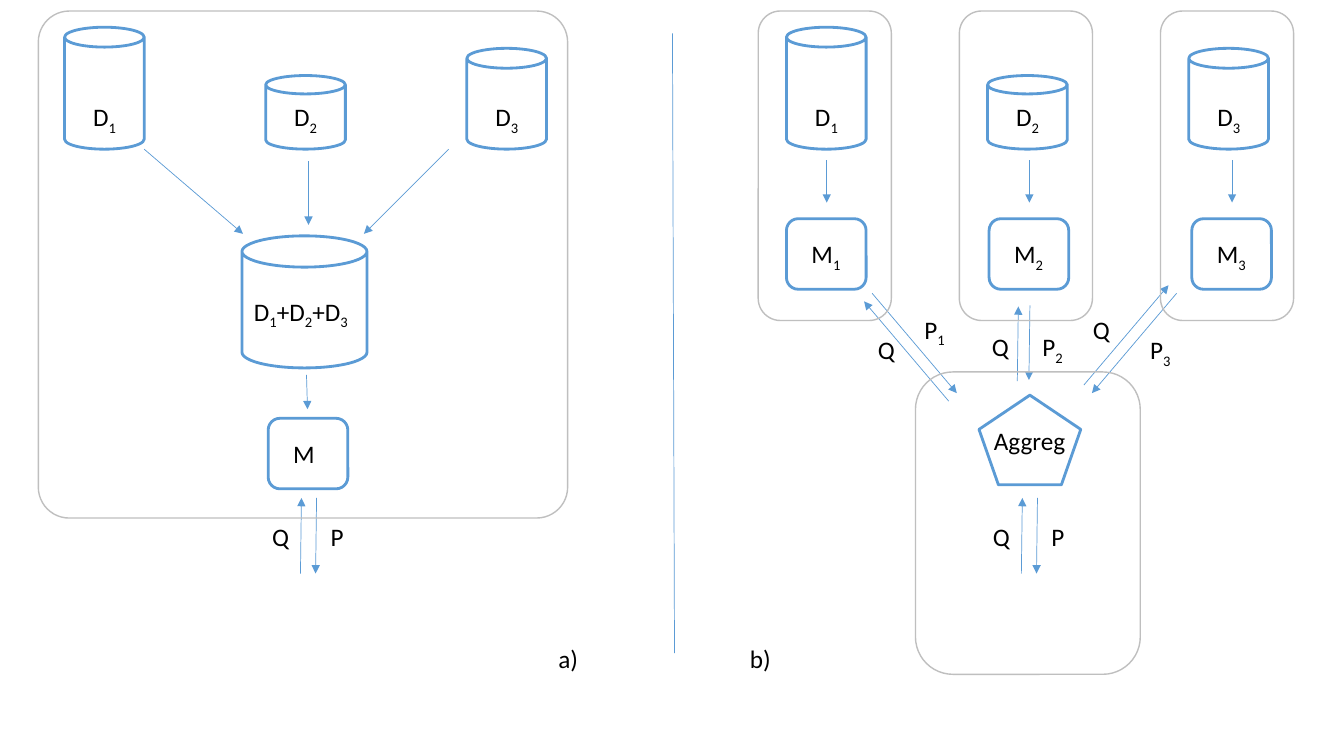
from itertools import groupby

from lxml import etree
from pptx import Presentation
from pptx.dml.color import RGBColor
from pptx.enum.shapes import MSO_CONNECTOR, MSO_SHAPE
from pptx.enum.text import MSO_AUTO_SIZE
from pptx.oxml.ns import qn
from pptx.util import Inches, Pt

CAN = MSO_SHAPE.CAN
ROUNDED = MSO_SHAPE.ROUNDED_RECTANGLE
PENTAGON = MSO_SHAPE.REGULAR_PENTAGON
STRAIGHT = MSO_CONNECTOR.STRAIGHT
FIT_TEXT = MSO_AUTO_SIZE.SHAPE_TO_FIT_TEXT

BLUE = RGBColor(0x5B, 0x9B, 0xD5)
GREY = RGBColor(0xBF, 0xBF, 0xBF)
BLACK = RGBColor(0, 0, 0)

CELL = Inches(0.1)
PITCH = 19.95
STORE_WIDTH = 7.9
STORE_HEIGHTS = (12.1, 7.3, 10)
MODEL_SIZE = (7.9, 7)

CENTRAL_BOX = (3.8, 1.1, 52.5, 50.3)
SITE_BOX = (75.2, 1.1, 13.2, 30.7)
AGGREGATOR_BOX = (90.8, 36.9, 22.3, 30)

SITE_EXCHANGES = (
    ((10.5, 28.8), (8.4, 9.9), (0.8, -0.8), (0.4, 2.8), (5, 0.8)),
    ((5.85, 29.3), (-0.1, 7.4), (1.15, -0.1), (-3.6, 2), (1.4, 2)),
    ((0.8, 27.2), (-8.4, 9.9), (0.8, 0.8), (-8.5, 2.4), (-2.8, 4.4)),
)
OUTSIDE_EXCHANGE = ((-0.1, 7.5), (1.5, 0), (-3.9, 1.85), (1.9, 1.85))


def cells(*lengths):
    return [round(length * CELL) for length in lengths]


def shift(origin, offset):
    return origin[0] + offset[0], origin[1] + offset[1]


def add_outline(slide, kind, position, size, color=BLUE, width=2):
    shape = slide.shapes.add_shape(kind, *cells(*position, *size))
    shape.shadow.inherit = False
    shape.fill.background()
    shape.line.color.rgb = color
    shape.line.width = Pt(width)
    return shape


def add_frame(slide, box):
    return add_outline(slide, ROUNDED, box[:2], box[2:], GREY, 1)


def add_line(slide, start, end, tip=None):
    connector = slide.shapes.add_connector(STRAIGHT, *cells(*start, *end))
    connector.line.color.rgb = BLUE
    connector.line.width = Pt(0.5)
    if tip:
        line = connector.line._get_or_add_ln()
        etree.SubElement(line, qn(f"a:{tip}"), type="triangle")
    etree.SubElement(connector._element.spPr, qn("a:effectLst"))


def add_arrow(slide, start, end):
    add_line(slide, start, end, "tailEnd")


def add_label(slide, text, position, width=9.3):
    label = slide.shapes.add_textbox(*cells(*position, width, 4))
    frame = label.text_frame
    frame.word_wrap = True
    frame.auto_size = FIT_TEXT
    paragraph = frame.paragraphs[0]
    for is_subscript, letters in groupby(text, str.isdigit):
        run = paragraph.add_run()
        run.text = "".join(letters)
        run.font.name = "Calibri"
        run.font.size = Pt(18)
        run.font.color.rgb = BLACK
        if is_subscript:
            run.font._element.set("baseline", "-25000")


def add_store(slide, left, bottom, index):
    height = STORE_HEIGHTS[index]
    add_outline(slide, CAN, (left, bottom - height), (STORE_WIDTH, height))
    add_label(slide, f"D{index + 1}", (left + 1.85, bottom - 5.2))


def add_model(slide, position, text):
    add_outline(slide, ROUNDED, position, MODEL_SIZE)
    add_label(slide, text, shift(position, (1.5, 1.5)))


def add_exchange(slide, start, reach, gap, query_offset, answer_offset, answer):
    end = shift(start, reach)
    add_line(slide, start, end, "headEnd")
    add_arrow(slide, shift(start, gap), shift(end, gap))
    add_label(slide, "Q", shift(start, query_offset), 3.7)
    add_label(slide, answer, shift(start, answer_offset), 6.6)


def add_central_region(slide, box):
    corner = box[:2]
    for index in range(len(STORE_HEIGHTS)):
        left, bottom = shift(corner, (2.6 + index * PITCH, 13.7))
        add_store(slide, left, bottom, index)
    for start, end in (
        ((10.5, 13.7), (20.3, 22.1)),
        ((40.7, 13.7), (32.3, 22.1)),
        ((26.8, 14.9), (26.8, 21.2)),
        ((26.6, 36.1), (26.7, 39.5)),
    ):
        add_arrow(slide, shift(corner, start), shift(corner, end))
    add_outline(slide, CAN, shift(corner, (20.2, 22.3)), (12.4, 13.1))
    add_label(slide, "D1+D2+D3", shift(corner, (20.4, 27.8)), 14.7)
    add_model(slide, shift(corner, (22.8, 40.4)), "M")
    add_exchange(slide, shift(corner, (26.1, 48.3)), *OUTSIDE_EXCHANGE, "P")
    add_frame(slide, box).adjustments[0] = 0.061


def add_site(slide, box, index):
    corner = box[:2]
    left, bottom = shift(corner, (2.8, 13.7))
    model = shift(corner, (2.8 + 0.15 * index, 20.6))
    add_store(slide, left, bottom, index)
    add_arrow(slide, shift(model, (4, -5.8)), shift(model, (4, -1.6)))
    add_model(slide, model, f"M{index + 1}")
    start, *layout = SITE_EXCHANGES[index]
    add_exchange(slide, shift(corner, start), *layout, f"P{index + 1}")
    add_frame(slide, box)


def add_aggregator(slide, box):
    corner = box[:2]
    add_outline(slide, PENTAGON, shift(corner, (6.3, 2.3)), (10.1, 8.9))
    add_label(slide, "Aggreg", shift(corner, (6.8, 4.8)))
    add_exchange(slide, shift(corner, (10.6, 12.5)), *OUTSIDE_EXCHANGE, "P")
    add_frame(slide, box)


def main():
    presentation = Presentation()
    presentation.slide_width = Inches(13.33)
    presentation.slide_height = Inches(7.5)
    slide = presentation.slides.add_slide(presentation.slide_layouts[6])
    add_line(slide, (66.7, 3.3), (66.9, 64.8))
    add_central_region(slide, CENTRAL_BOX)
    left, *rest = SITE_BOX
    for index in range(len(SITE_EXCHANGES)):
        add_site(slide, (left + index * PITCH, *rest), index)
    add_aggregator(slide, AGGREGATOR_BOX)
    add_label(slide, "a)", (54.4, 63.3), 7.4)
    add_label(slide, "b)", (73.4, 63.3), 7.4)
    presentation.save("out.pptx")


if __name__ == "__main__":
    main()
